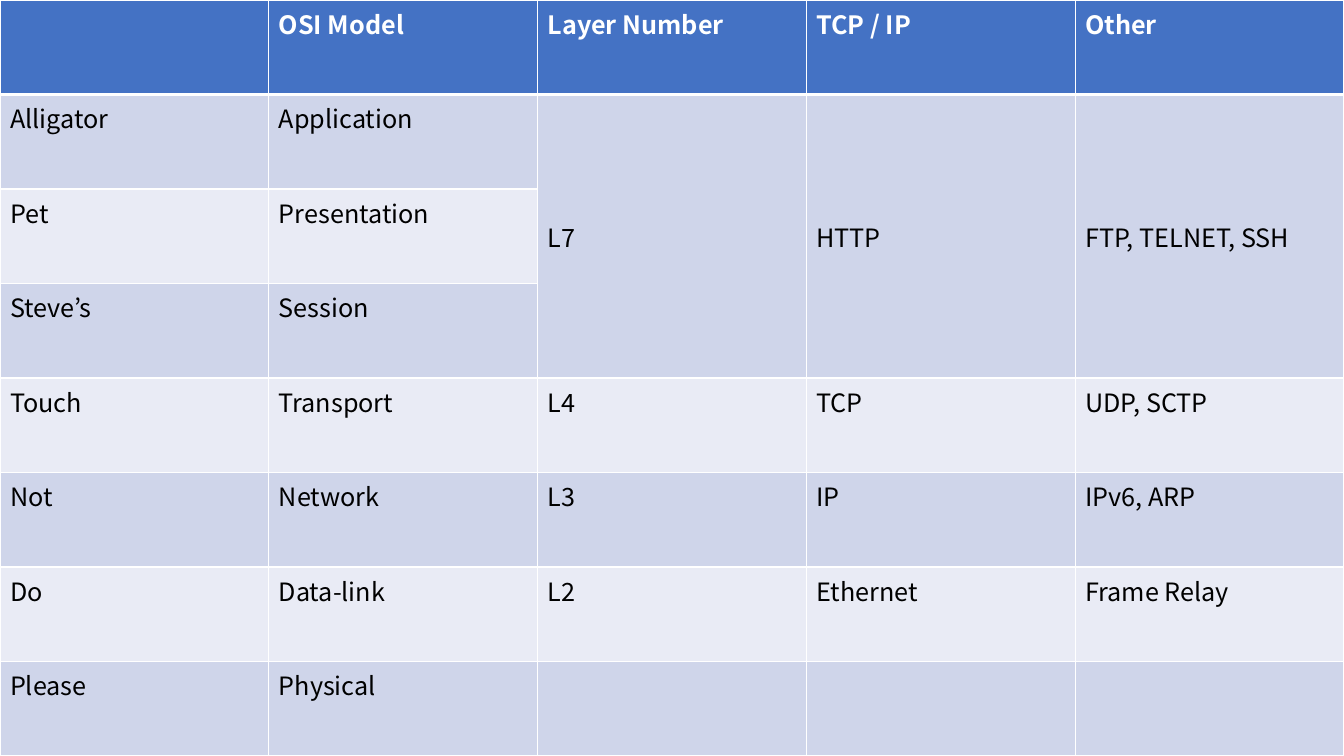
from lxml import etree
from pptx import Presentation
from pptx.dml.color import RGBColor
from pptx.enum import text
from pptx.oxml import ns
from pptx.util import Inches, Pt

BLUE = RGBColor(0x44, 0x72, 0xC4)
DARK = RGBColor(0xCF, 0xD5, 0xEA)
LIGHT = RGBColor(0xE9, 0xEB, 0xF5)
WHITE = RGBColor(0xFF, 0xFF, 0xFF)
BLACK = RGBColor(0, 0, 0)
FONT = "Noto Sans CJK KR"

LAYERS = [
    ["", "OSI Model", "Layer Number", "TCP / IP", "Other"],
    ["Alligator", "Application", "L7", "HTTP", "FTP, TELNET, SSH"],
    ["Pet", "Presentation", "", "", ""],
    ["Steve’s", "Session", "", "", ""],
    ["Touch", "Transport", "L4", "TCP", "UDP, SCTP"],
    ["Not", "Network", "L3", "IP", "IPv6, ARP"],
    ["Do", "Data-link", "L2", "Ethernet", "Frame Relay"],
    ["Please", "Physical", "", "", ""],
]


def add_edge(cell, side, width):
    props = cell._tc.get_or_add_tcPr()
    line = etree.SubElement(props, ns.qn("a:ln" + side), w=str(Pt(width)))
    fill = etree.SubElement(line, ns.qn("a:solidFill"))
    etree.SubElement(fill, ns.qn("a:srgbClr"), val=str(WHITE))


deck = Presentation()
deck.slide_width = Inches(13.33)
deck.slide_height = Inches(7.5)
slide = deck.slides.add_slide(deck.slide_layouts[6])
table = slide.shapes.add_table(
    len(LAYERS), len(LAYERS[0]), 0, 0, deck.slide_width, deck.slide_height
).table

for r, layer in enumerate(LAYERS):
    head = r == 0
    for c, label in enumerate(layer):
        cell = table.cell(r, c)
        for side in "LRTB":
            thick = (head and side == "B") or (r == 1 and side == "T")
            add_edge(cell, side, 3 if thick else 1)
        cell.fill.solid()
        cell.fill.fore_color.rgb = BLUE if head else DARK if r % 2 else LIGHT
        para = cell.text_frame.paragraphs[0]
        para.font.size = Pt(18)
        if label:
            run = para.add_run()
            run.text = label
            run.font.name = FONT
            run.font.size = Pt(18)
            run.font.bold = head
            run.font.color.rgb = WHITE if head else BLACK

for c in range(2, 5):
    top = table.cell(1, c)
    top.merge(table.cell(3, c))
    top.vertical_anchor = text.MSO_ANCHOR.MIDDLE

deck.save("out.pptx")
